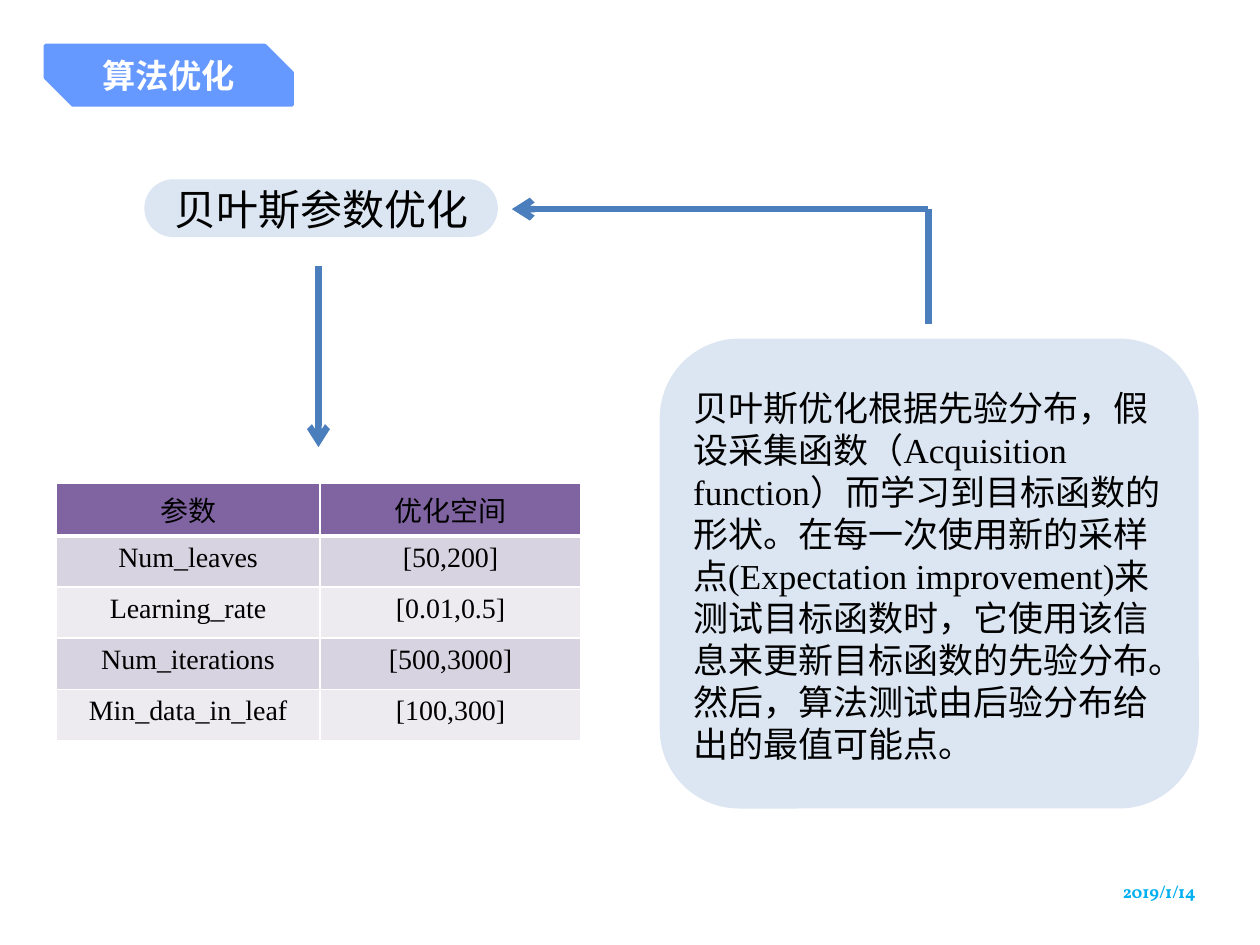
from lxml.etree import SubElement
from pptx import Presentation
from pptx.dml.color import RGBColor
from pptx.enum.shapes import MSO_CONNECTOR, MSO_SHAPE
from pptx.enum.text import MSO_ANCHOR, PP_ALIGN
from pptx.oxml import parse_xml
from pptx.oxml.ns import nsdecls, qn
from pptx.util import Pt

COLORS = {
    "banner": "6699FF", "panel": "DCE6F2", "arrow": "4B7EBC", "header": "8064A2",
    "band_dark": "D8D3E0", "band_light": "EDEAF0", "date": "00B0F0",
    "white": "FFFFFF", "black": "000000",
}
CJK = "Noto Sans CJK SC"
SERIF = "Times New Roman"

PARAMETERS = [
    ("参数", "优化空间"),
    ("Num_leaves", "[50,200]"),
    ("Learning_rate", "[0.01,0.5]"),
    ("Num_iterations", "[500,3000]"),
    ("Min_data_in_leaf", "[100,300]"),
]
EXPLANATION = (
    "贝叶斯优化根据先验分布，假设采集函数（Acquisition function）而学习到目标函数的形状。"
    "在每一次使用新的采样点(Expectation improvement)来测试目标函数时，"
    "它使用该信息来更新目标函数的先验分布。然后，算法测试由后验分布给出的最值可能点。"
)


def rgb(name):
    return RGBColor.from_string(COLORS[name])


def add_run(frame, text, size, font, color="black", bold=False, align=PP_ALIGN.LEFT):
    paragraph = frame.paragraphs[0]
    paragraph.alignment = align
    run = paragraph.add_run()
    run.text = text
    run.font.size = Pt(size)
    run.font.name = font
    run.font.bold = bold
    run.font.color.rgb = rgb(color)
    SubElement(run._r.get_or_add_rPr(), qn("a:ea"), typeface=CJK)


def set_margins(frame, horizontal, vertical):
    frame.margin_left = frame.margin_right = Pt(horizontal)
    frame.margin_top = frame.margin_bottom = Pt(vertical)


def add_panel(slide, box, preset, color):
    panel = slide.shapes.add_shape(preset, *map(Pt, box))
    panel.shadow.inherit = False
    panel.fill.solid()
    panel.fill.fore_color.rgb = rgb(color)
    panel.line.color.rgb = rgb(color)
    panel.line.width = Pt(2)
    panel.text_frame.word_wrap = True
    panel.text_frame.vertical_anchor = MSO_ANCHOR.MIDDLE
    return panel


def add_textbox(slide, box):
    frame = slide.shapes.add_textbox(*map(Pt, box)).text_frame
    frame.word_wrap = True
    return frame


def add_banner(slide, box):
    banner = add_panel(slide, box, MSO_SHAPE.SNIP_2_DIAG_RECTANGLE, "banner")
    banner.adjustments[0] = 0
    banner.adjustments[1] = 0.46
    set_margins(banner.text_frame, 8.6, 4.3)
    add_run(banner.text_frame, "算法优化", 19, CJK, "white", True, PP_ALIGN.CENTER)


def add_method(slide, box):
    method = add_panel(slide, box, MSO_SHAPE.ROUNDED_RECTANGLE, "panel")
    method.adjustments[0] = 0.5
    add_run(method.text_frame, "贝叶斯参数优化", 24, CJK, align=PP_ALIGN.CENTER)


def add_explanation(slide, box):
    left, top, width, height = box
    add_panel(slide, box, MSO_SHAPE.ROUNDED_RECTANGLE, "panel")
    frame = add_textbox(slide, (left + 11, top + 23, width - 22, height - 41))
    add_run(frame, EXPLANATION, 20, SERIF)


def add_line(slide, start, end, arrow=False):
    line = slide.shapes.add_connector(MSO_CONNECTOR.STRAIGHT, *map(Pt, start + end))
    line.line.color.rgb = rgb("arrow")
    line.line.width = Pt(3.75)
    if arrow:
        SubElement(line.line._get_or_add_ln(), qn("a:tailEnd"), type="arrow")
    SubElement(line._element.spPr, qn("a:effectLst"))


def add_flow(slide, box):
    left, top, width, height = box
    corner = (left + width, top)
    add_line(slide, corner, (left, top), arrow=True)
    add_line(slide, corner, (left + width, top + height))


def set_borders(cell, top, bottom):
    properties = cell._tc.get_or_add_tcPr()
    widths = {"lnL": 1, "lnR": 1, "lnT": top, "lnB": bottom}
    for index, (side, width) in enumerate(widths.items()):
        properties.insert(index, parse_xml(
            f'<a:{side} {nsdecls("a")} w="{Pt(width)}"><a:solidFill>'
            f'<a:srgbClr val="{COLORS["white"]}"/></a:solidFill></a:{side}>'))


def add_parameters(slide, box):
    table = slide.shapes.add_table(len(PARAMETERS), 2, *map(Pt, box)).table
    first_width = 151
    table.columns[0].width = Pt(first_width)
    table.columns[1].width = Pt(box[2] - first_width)
    for row, values in enumerate(PARAMETERS):
        fill = "header" if row == 0 else "band_dark" if row % 2 else "band_light"
        for column, value in enumerate(values):
            cell = table.cell(row, column)
            cell.fill.solid()
            cell.fill.fore_color.rgb = rgb(fill)
            set_borders(cell, 3 if row == 1 else 1, 3 if row == 0 else 1)
            font = SERIF if row else "Arial"
            add_run(cell.text_frame, value, 16, font, align=PP_ALIGN.CENTER)


def add_date(slide, box):
    frame = add_textbox(slide, box)
    set_margins(frame, 8.6, 4.3)
    add_run(frame, "2019/1/14", 10, "Vollkorn", "date", True)


def main():
    deck = Presentation()
    deck.slide_width, deck.slide_height = Pt(720), Pt(540)
    slide = deck.slides.add_slide(deck.slide_layouts[6])
    add_banner(slide, (26, 26, 141, 34))
    add_parameters(slide, (32, 276, 300, 146))
    add_method(slide, (83.5, 103.5, 200, 31))
    add_flow(slide, (292.5, 119.5, 238, 65.5))
    add_line(slide, (182, 152), (182, 255.5), arrow=True)
    add_explanation(slide, (378, 194.5, 306, 266.5))
    add_date(slide, (633, 499, 70.5, 29))
    deck.save("out.pptx")


if __name__ == "__main__":
    main()
